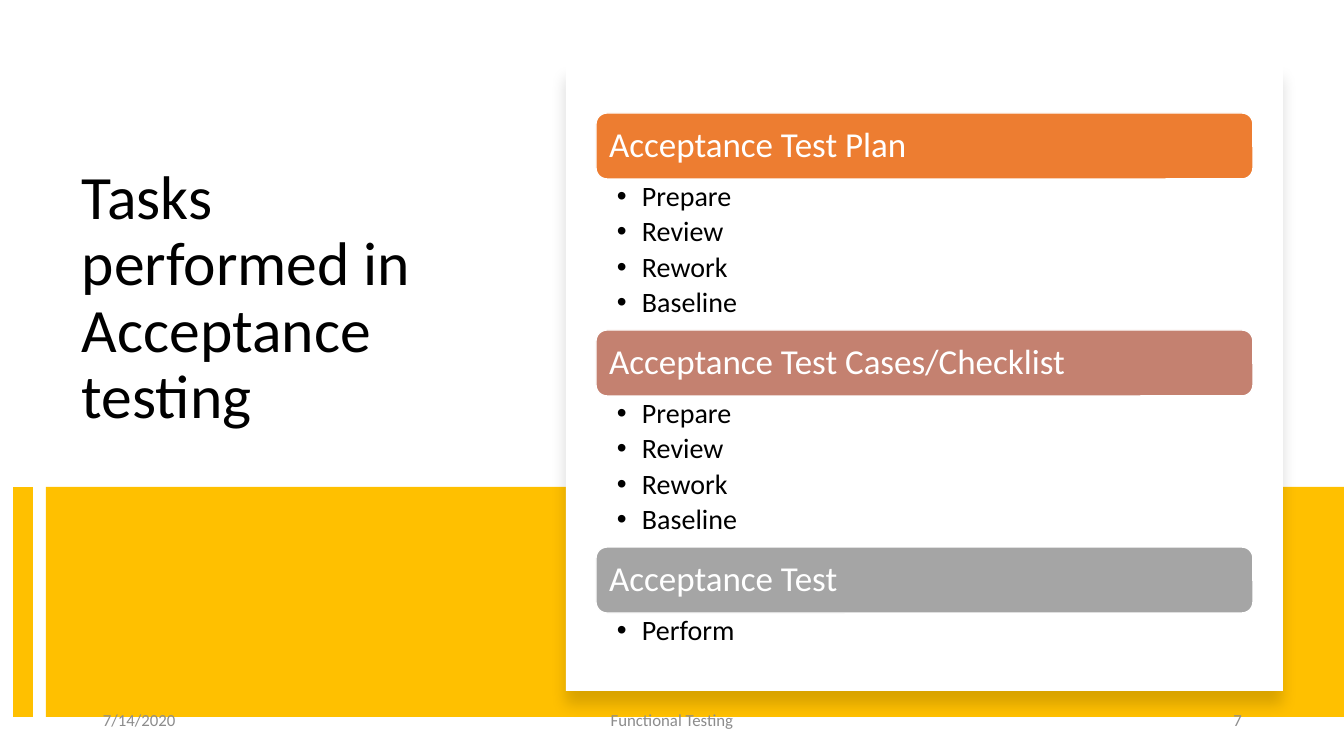
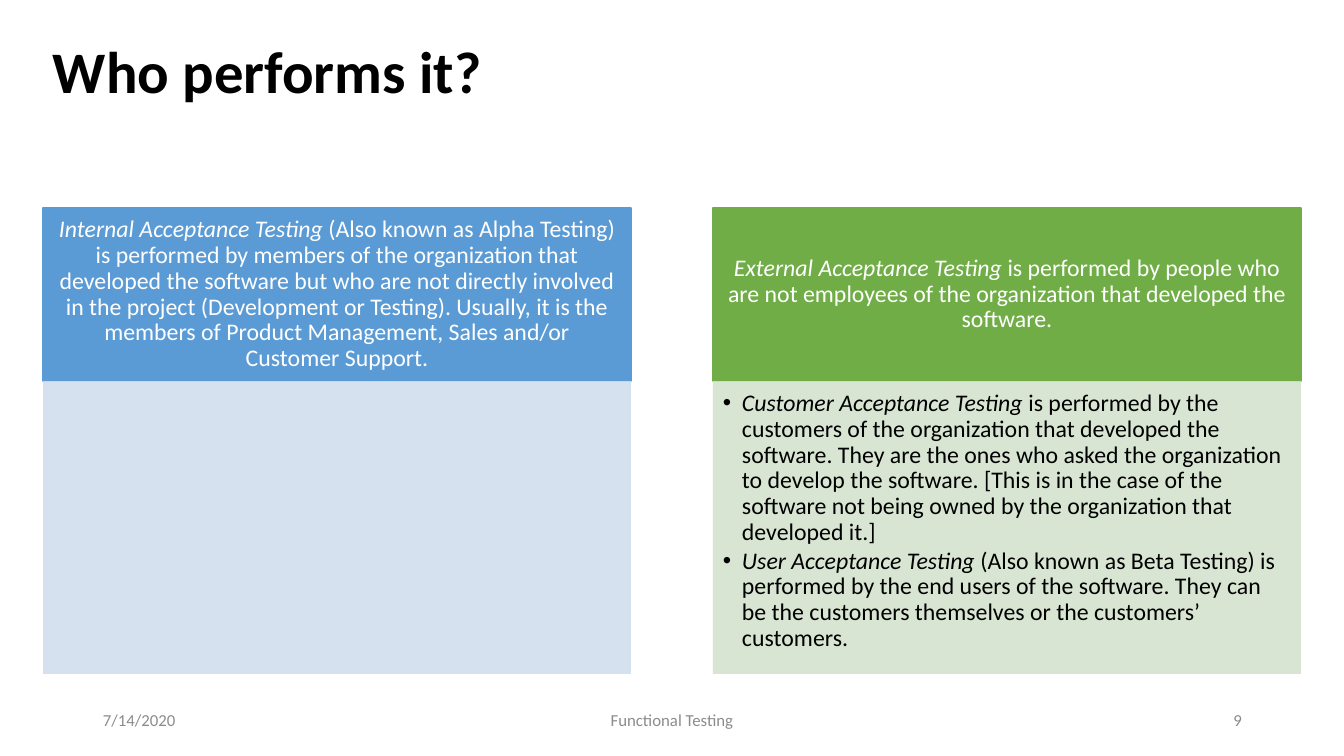
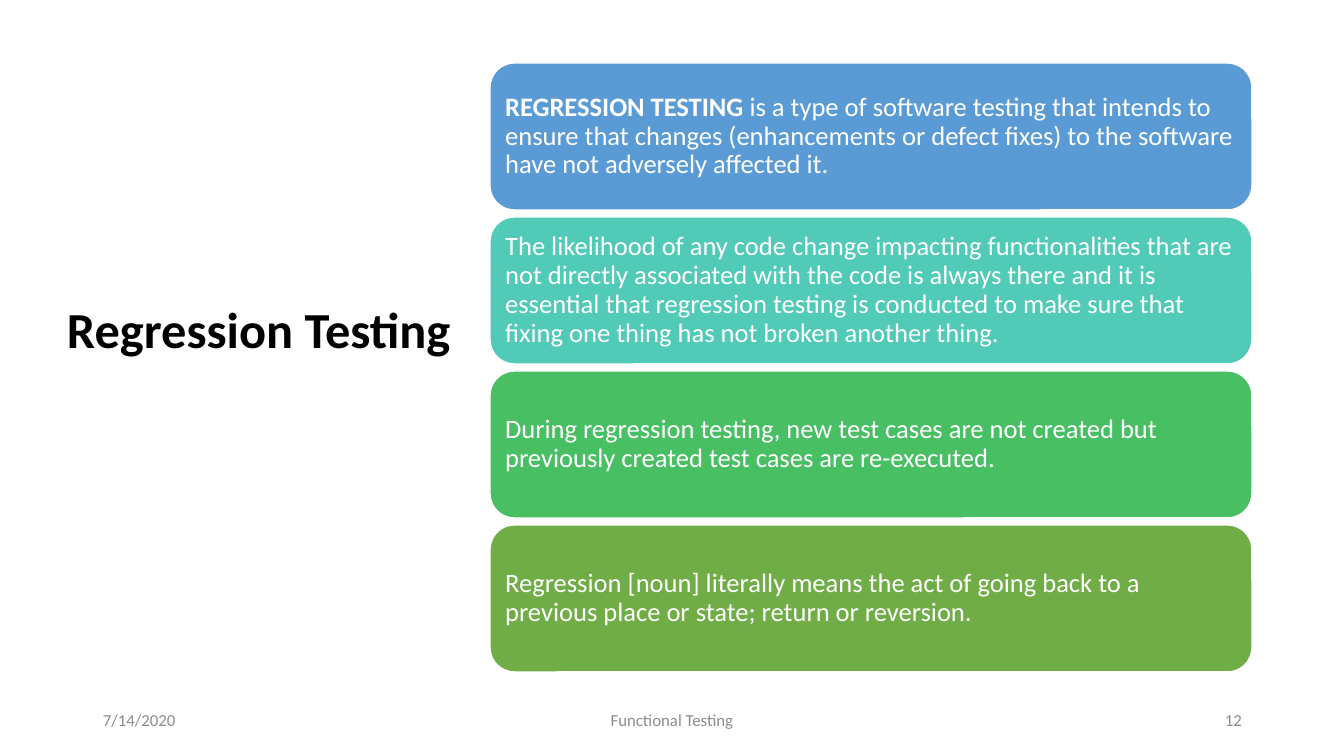
"""Build three slides on functional testing."""
from dataclasses import dataclass

from lxml.etree import SubElement
from pptx import Presentation
from pptx.dml.color import RGBColor
from pptx.enum.shapes import MSO_CONNECTOR, MSO_SHAPE
from pptx.enum.text import MSO_ANCHOR, PP_ALIGN
from pptx.oxml.ns import qn
from pptx.util import Pt

EMU_PER_PIXEL = 914400 / 100.8


@dataclass(frozen=True)
class Theme:
    """Colours, font and type sizes of the deck."""
    font: str = "Calibri"
    ink: str = "000000"
    paper: str = "FFFFFF"
    muted: str = "8C8C8C"
    yellow: str = "FFC000"
    orange: str = "ED7D31"
    clay: str = "C48170"
    grey: str = "A5A5A5"
    blue: str = "5B9BD5"
    pale_blue: str = "D2DEEF"
    teal: str = "52CAB8"
    emerald: str = "49BF64"
    green: str = "70AD47"
    pale_green: str = "D5E3CF"
    side_title: int = 44
    top_title: int = 42
    short_title: int = 36
    pill: int = 25
    task: int = 20
    statement: int = 19
    column: int = 17
    footer: int = 12


@dataclass(frozen=True)
class TextStyle:
    """Look of all the text in one box."""
    size: int
    color: str
    bold: bool = False
    lead: str = ""
    align: PP_ALIGN = PP_ALIGN.LEFT
    anchor: MSO_ANCHOR = MSO_ANCHOR.MIDDLE
    insets: tuple = (10, 5, 10, 5)
    line_spacing: float = 0.9
    space_after: float = 0
    bullet_indent: int = 0


THEME = Theme()


def px(length):
    """Turn picture pixels into EMU."""
    return round(length * EMU_PER_PIXEL)


def add_bullet(para, indent):
    """Give a paragraph a hanging round bullet."""
    properties = para._p.get_or_add_pPr()
    properties.set("marL", str(px(indent)))
    properties.set("indent", str(-px(indent)))
    SubElement(properties, qn("a:buFont")).set("typeface", "Arial")
    SubElement(properties, qn("a:buChar")).set("char", "•")


def write(box, items, style):
    """Fill a box with paragraphs, each a string or a (lead, rest) pair."""
    frame = box.text_frame
    frame.word_wrap = True
    frame.vertical_anchor = style.anchor
    (frame.margin_left, frame.margin_top,
     frame.margin_right, frame.margin_bottom) = map(px, style.insets)
    for index, item in enumerate(items):
        para = frame.add_paragraph() if index else frame.paragraphs[0]
        para.alignment = style.align
        para.line_spacing = style.line_spacing
        para.space_after = Pt(style.space_after)
        if style.bullet_indent:
            add_bullet(para, style.bullet_indent)
        texts = (item,) if isinstance(item, str) else item
        for position, text in enumerate(texts):
            is_lead = len(texts) > 1 and position == 0
            span = para.add_run()
            span.text = text
            span.font.name = THEME.font
            span.font.size = Pt(style.size)
            span.font.color.rgb = RGBColor.from_string(style.color)
            span.font.bold = style.bold or (is_lead and style.lead == "bold")
            span.font.italic = is_lead and style.lead == "italic"


def add_text(page, area, items, style):
    """Add a text box."""
    box = page.shapes.add_textbox(*map(px, area))
    write(box, items, style)


def set_opacity(color_format, percent):
    """Make a solid fill partly transparent."""
    color = color_format._xPr.find(qn("a:solidFill"))[0]
    SubElement(color, qn("a:alpha")).set("val", str(percent * 1000))


def add_panel(page, area, fill, outline=None, kind=MSO_SHAPE.RECTANGLE, opacity=100):
    """Add a flat filled shape, outlined if an outline colour is given."""
    panel = page.shapes.add_shape(kind, *map(px, area))
    panel.shadow.inherit = False
    panel.fill.solid()
    panel.fill.fore_color.rgb = RGBColor.from_string(fill)
    if outline:
        panel.line.color.rgb = RGBColor.from_string(outline)
        panel.line.width = Pt(1)
    else:
        panel.line.fill.background()
    if opacity < 100:
        set_opacity(panel.fill, opacity)
    return panel


def add_pill(page, area, fill, items, style):
    """Add a rounded, white-edged panel with text."""
    pill = add_panel(page, area, fill, THEME.paper, MSO_SHAPE.ROUNDED_RECTANGLE)
    write(pill, items, style)


def add_drop_shadow(panel):
    """Cast a soft shadow below a panel."""
    effects = panel._element.spPr.find(qn("a:effectLst"))
    shadow = SubElement(effects, qn("a:outerShdw"), blurRad=str(Pt(11)),
                        dist=str(Pt(10)), dir="5400000", rotWithShape="0")
    color = SubElement(shadow, qn("a:srgbClr"), val=THEME.ink)
    SubElement(color, qn("a:alpha"), val="15000")


def add_bar(page, x, top, bottom, color, points):
    """Add a thick vertical line."""
    bar = page.shapes.add_connector(MSO_CONNECTOR.STRAIGHT, px(x), px(top), px(x), px(bottom))
    bar.line.color.rgb = RGBColor.from_string(color)
    bar.line.width = Pt(points)
    SubElement(bar._element.spPr, qn("a:effectLst"))


def add_title(page, area, text, size, bold=True, **placing):
    """Add the slide title."""
    add_text(page, area, [text], TextStyle(size, THEME.ink, bold, **placing))


def add_footer(page, number):
    """Add the date, the deck name and the slide number."""
    for left, width, text, align in (
        (93, 302, "7/14/2020", PP_ALIGN.LEFT),
        (445, 454, "Functional Testing", PP_ALIGN.CENTER),
        (950, 302, str(number), PP_ALIGN.RIGHT),
    ):
        style = TextStyle(THEME.footer, THEME.muted, align=align, line_spacing=1)
        add_text(page, (left, 700, width, 40), [text], style)


def add_task_list(page, left, top, width, groups):
    """Stack pills, each followed by its bulleted tasks."""
    pill_height, task_height, list_padding = 66, 36, 7
    pill_style = TextStyle(THEME.pill, THEME.paper)
    task_style = TextStyle(THEME.task, THEME.ink, anchor=MSO_ANCHOR.TOP,
                           insets=(21, 3, 19, 3), space_after=3.8, bullet_indent=25)
    for heading, color, tasks in groups:
        add_pill(page, (left, top, width, pill_height), color, [heading], pill_style)
        top += pill_height
        list_height = task_height * len(tasks) + list_padding
        add_text(page, (left, top, width, list_height), tasks, task_style)
        top += list_height


def add_column(page, left, color, pale, heading, points):
    """Add a heading panel above a pale panel of bullet points."""
    top, width, head_height, body_height = 208, 588, 173, 293
    head = add_panel(page, (left, top, width, head_height), color, color)
    write(head, [heading], TextStyle(THEME.column, THEME.paper, lead="italic",
                                     align=PP_ALIGN.CENTER, insets=(13, 8, 13, 8)))
    body = add_panel(page, (left, top + head_height, width, body_height), pale, opacity=90)
    if points:
        write(body, points, TextStyle(THEME.column, THEME.ink, lead="italic",
                                      anchor=MSO_ANCHOR.TOP, insets=(10, 10, 13, 15),
                                      space_after=2.3, bullet_indent=19))


def build_tasks(page):
    """Show the tasks performed in acceptance testing."""
    add_title(page, (72, 161, 418, 296), "Tasks performed in Acceptance testing",
              THEME.side_title, bold=False, anchor=MSO_ANCHOR.TOP)
    add_panel(page, (46, 487, 1298, 230), THEME.yellow)
    add_bar(page, 23, 487, 717, THEME.yellow, 14)
    card = add_panel(page, (566, 65, 717, 626), THEME.paper)
    add_drop_shadow(card)
    cycle = ["Prepare", "Review", "Rework", "Baseline"]
    add_task_list(page, 596, 113, 657, (
        ("Acceptance Test Plan", THEME.orange, cycle),
        ("Acceptance Test Cases/Checklist", THEME.clay, cycle),
        ("Acceptance Test", THEME.grey, ["Perform"]),
    ))


def build_performers(page):
    """Compare internal and external acceptance testing."""
    add_title(page, (43, 35, 1258, 146), "Who performs it?", THEME.top_title,
              anchor=MSO_ANCHOR.TOP, insets=(10, 8, 10, 5))
    add_column(
        page, 43, THEME.blue, THEME.pale_blue,
        ("Internal Acceptance Testing\u00a0",
         "(Also known as Alpha Testing) is performed by members of the organization that "
         "developed the software but who are not directly involved in the project "
         "(Development or Testing). Usually, it is the members of Product Management, "
         "Sales and/or Customer Support."),
        [])
    add_column(
        page, 713, THEME.green, THEME.pale_green,
        ("External Acceptance Testing\u00a0",
         "is performed by people who are not employees of the organization that developed "
         "the software."),
        [("Customer Acceptance Testing\u00a0",
          "is performed by the customers of the organization that developed the software. "
          "They are the ones who asked the organization to develop the software. [This is "
          "in the case of the software not being owned by the organization that developed "
          "it.]"),
         ("User Acceptance Testing\u00a0",
          "(Also known as Beta Testing) is performed by the end users of the software. They "
          "can be the customers themselves or the customers’ customers.")])


def build_regression(page):
    """Explain regression testing in four statements."""
    add_title(page, (57, 68, 572, 607), "Regression Testing", THEME.short_title,
              insets=(10, 5, 10, 83))
    style = TextStyle(THEME.statement, THEME.paper, lead="bold", insets=(8, 8, 8, 8))
    statements = (
        (THEME.blue, ("REGRESSION TESTING",
                      "\u00a0is a type of software testing that intends to ensure that changes "
                      "(enhancements or defect fixes) to the software have not adversely "
                      "affected it.")),
        (THEME.teal, "The likelihood of any code change impacting functionalities that are not "
                     "directly associated with the code is always there and it is essential "
                     "that regression testing is conducted to make sure that fixing one thing "
                     "has not broken another thing."),
        (THEME.emerald, "During regression testing, new test cases are not created but "
                        "previously created test cases are re-executed."),
        (THEME.green, "Regression [noun] literally means the act of going back to a previous "
                      "place or state; return or reversion."),
    )
    for row, (color, statement) in enumerate(statements):
        add_pill(page, (490, 63 + row * 154, 762, 147), color, [statement], style)


def main():
    """Build and save the deck."""
    deck = Presentation()
    deck.slide_width, deck.slide_height = px(1344), px(756)
    blank = deck.slide_layouts[6]
    for build, number in ((build_tasks, 7), (build_performers, 9), (build_regression, 12)):
        page = deck.slides.add_slide(blank)
        build(page)
        add_footer(page, number)
    deck.save("out.pptx")


main()
